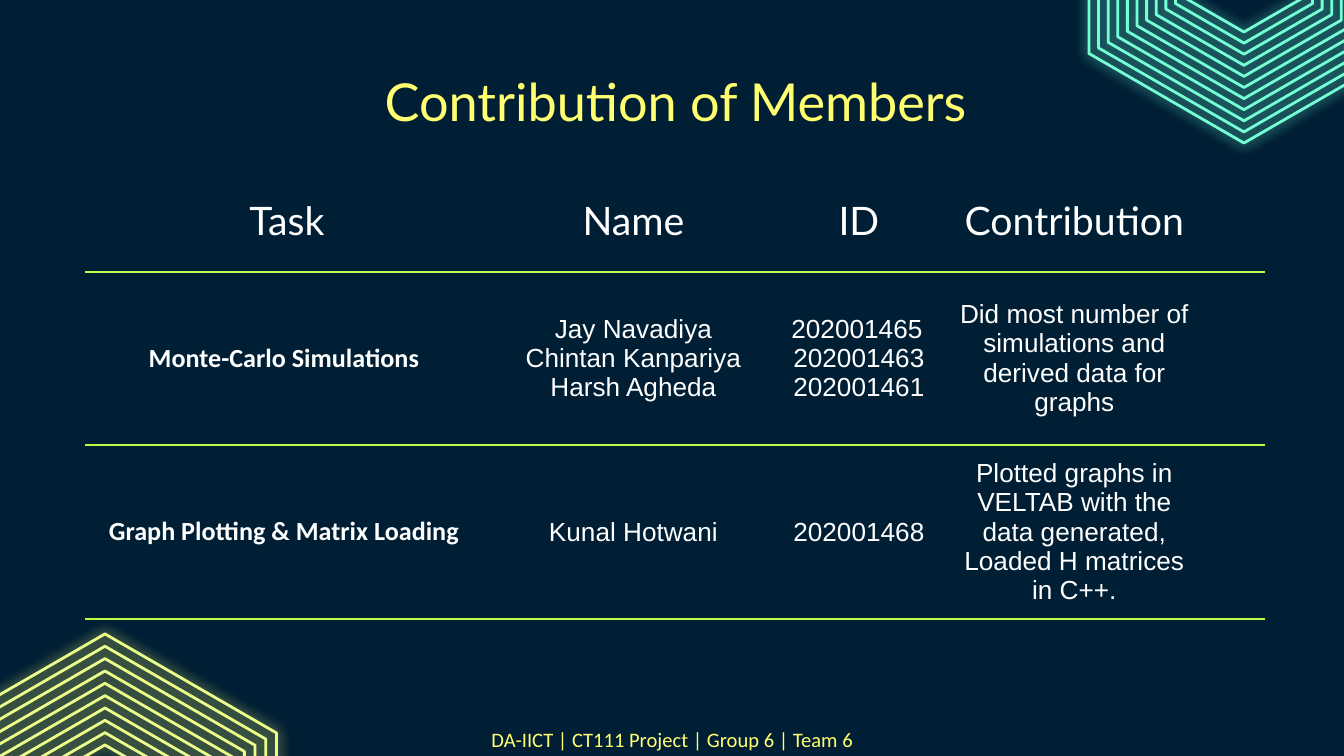
import math

from lxml import etree
from pptx import Presentation
from pptx import util as u
from pptx.dml.color import RGBColor
from pptx.enum import text
from pptx.oxml import ns

PX = 9144000 / 1344
NAVY = RGBColor(0x00, 0x1F, 0x35)
YELLOW = RGBColor(0xFF, 0xFF, 0x70)
PALE_YELLOW = RGBColor(0xEC, 0xFF, 0x8C)
TEAL = RGBColor(0x75, 0xFF, 0xD7)
LIME = RGBColor(0xBC, 0xFD, 0x45)
WHITE = RGBColor(0xFF, 0xFF, 0xFF)
PLAIN_TABLE = "{2D5ABB26-0587-4C30-8999-92F81FD0307C}"

COLUMNS = [404, 289, 162, 269, 56]
ROWS = [103, 173, 174]
CONTENT = [
    ["Task", "Name", "ID", "Contribution", ""],
    ["Monte-Carlo Simulations ",
     "Jay Navadiya\nChintan Kanpariya\nHarsh Agheda",
     "202001465\n202001463\n202001461",
     "Did most number of simulations and derived data for graphs", ""],
    ["Graph Plotting & Matrix Loading ", "Kunal Hotwani", "202001468",
     "Plotted graphs in VELTAB with the data generated, "
     "Loaded H matrices in C++.", ""],
]


def emu(px):
    return u.Emu(round(px * PX))


def add_color(parent, color):
    return etree.SubElement(parent, ns.qn("a:srgbClr"), val=str(color))


def add_glow(shape, color):
    effects = etree.SubElement(shape._element.spPr, ns.qn("a:effectLst"))
    shadow = etree.SubElement(effects, ns.qn("a:outerShdw"),
                              blurRad=str(u.Pt(6.8)), dist="0", dir="0",
                              algn="ctr", rotWithShape="0")
    etree.SubElement(add_color(shadow, color), ns.qn("a:alpha"), val="90000")


def add_hexagons(page, center_x, center_y, outer, inner, count, color, glow):
    """Concentric upright hexagons, evenly spaced from outer to inner radius."""
    for index in range(count):
        radius = outer - (outer - inner) * index / (count - 1)
        corners = []
        for corner in range(6):
            angle = math.radians(60 * corner - 90)
            corners.append((round((center_x + radius * math.cos(angle)) * PX),
                            round((center_y + radius * math.sin(angle)) * PX)))
        builder = page.shapes.build_freeform(*corners[0])
        builder.add_line_segments(corners[1:], close=True)
        hexagon = builder.convert_to_shape()
        hexagon.fill.background()
        hexagon.line.color.rgb = color
        hexagon.line.width = u.Pt(1.5)
        add_glow(hexagon, glow)


def format_paragraph(para, font, size, color, bold=False):
    para.alignment = text.PP_ALIGN.CENTER
    para.font.name = font
    para.font.size = u.Pt(size)
    para.font.bold = bold
    para.font.color.rgb = color


def set_insets(target):
    target.margin_left = target.margin_right = u.Inches(0.1)
    target.margin_top = target.margin_bottom = u.Inches(0.1)


def add_title(page, left, top, width, height):
    title = page.shapes.title
    title.left, title.top = emu(left), emu(top)
    title.width, title.height = emu(width), emu(height)
    frame = title.text_frame
    frame.text = "Contribution of Members"
    frame.auto_size = text.MSO_AUTO_SIZE.NONE
    frame.vertical_anchor = text.MSO_ANCHOR.MIDDLE
    set_insets(frame)
    format_paragraph(frame.paragraphs[0], "Lato", 28, YELLOW)


def add_bottom_border(cell):
    properties = cell._tc.get_or_add_tcPr()
    border = etree.Element(ns.qn("a:lnB"), w=str(u.Pt(1.5)))
    add_color(etree.SubElement(border, ns.qn("a:solidFill")), LIME)
    properties.insert(0, border)


def fill_cell(cell, content, font, size, bold):
    cell.fill.background()
    cell.vertical_anchor = text.MSO_ANCHOR.MIDDLE
    set_insets(cell)
    add_bottom_border(cell)
    cell.text = content
    for para in cell.text_frame.paragraphs:
        format_paragraph(para, font, size, WHITE, bold)


def add_members(page, left, top):
    frame = page.shapes.add_table(len(ROWS), len(COLUMNS), emu(left), emu(top),
                                  emu(sum(COLUMNS)), emu(sum(ROWS)))
    table = frame.table
    table.first_row = table.horz_banding = False
    table._tbl.tblPr.find(ns.qn("a:tableStyleId")).text = PLAIN_TABLE
    for column, width in zip(table.columns, COLUMNS):
        column.width = emu(width)
    for row, height in zip(table.rows, ROWS):
        row.height = emu(height)
    for r, line in enumerate(CONTENT):
        for c, content in enumerate(line):
            if r == 0:
                style = ("Lato", 21, False)
            elif c == 0:
                style = ("Calibri", 14, True)
            else:
                style = ("Arial", 14, False)
            fill_cell(table.cell(r, c), content, *style)
    first_id = table.cell(1, 2).text_frame.paragraphs[0]
    first_id.alignment = text.PP_ALIGN.LEFT


def add_footer(page, left, top, width, height):
    box = page.shapes.add_textbox(emu(left), emu(top), emu(width), emu(height))
    frame = box.text_frame
    frame.word_wrap = True
    set_insets(frame)
    frame.text = "DA-IICT | CT111 Project | Group 6 | Team 6"
    format_paragraph(frame.paragraphs[0], "Calibri", 11, YELLOW)


def main():
    deck = Presentation()
    deck.slide_width, deck.slide_height = emu(1344), emu(756)
    page = deck.slides.add_slide(deck.slide_layouts[5])
    page.background.fill.solid()
    page.background.fill.fore_color.rgb = NAVY
    add_hexagons(page, 105, 832, 198, 87, 10, PALE_YELLOW, YELLOW)
    add_hexagons(page, 1244, -36, 179, 68, 11, TEAL, TEAL)
    add_title(page, 105, 79, 1141, 43)
    add_members(page, 85, 169)
    add_footer(page, 366, 715, 613, 52)
    deck.save("out.pptx")


if __name__ == "__main__":
    main()
